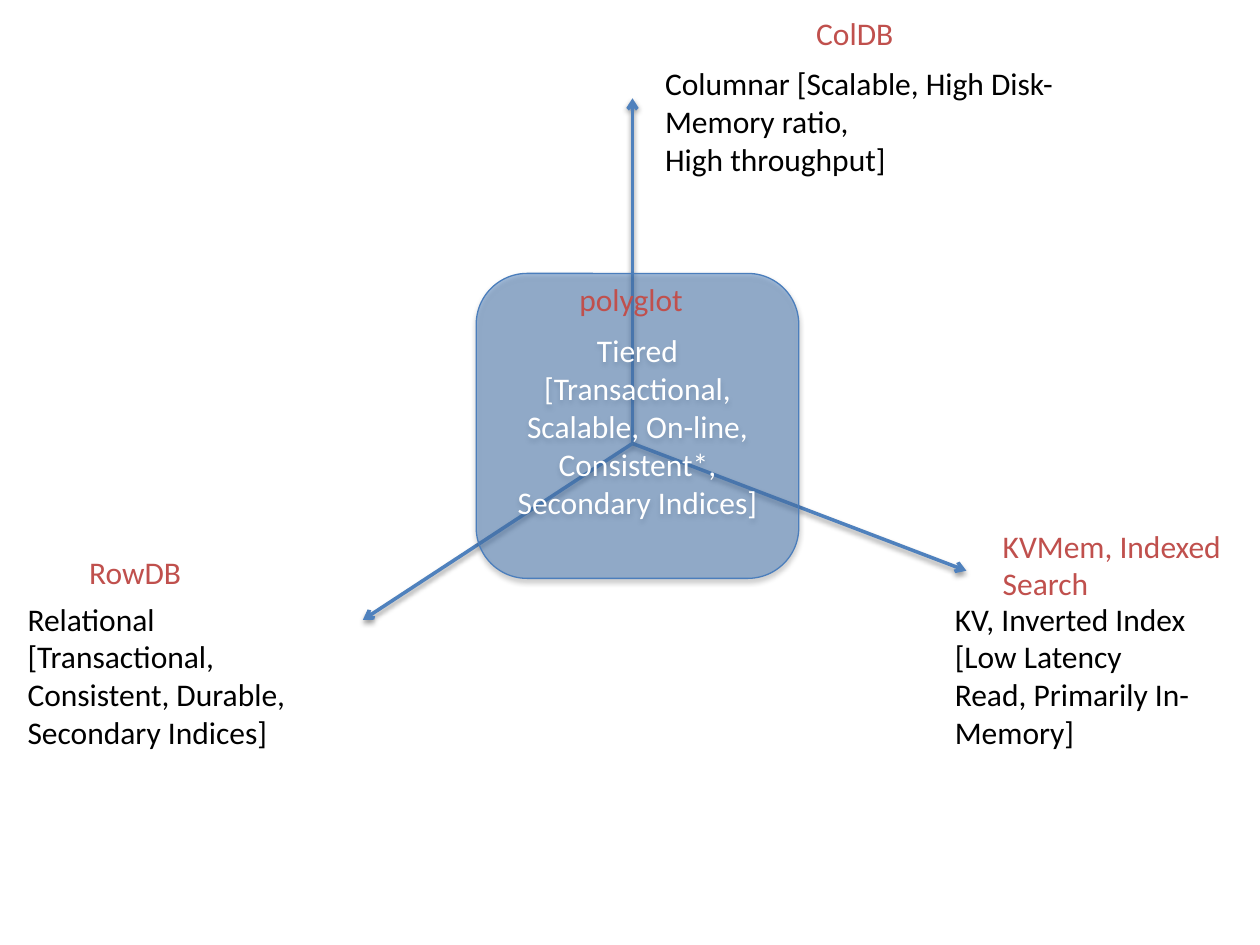
from dataclasses import dataclass

from lxml.etree import SubElement
from pptx import Presentation
from pptx.dml.color import RGBColor
from pptx.enum.shapes import MSO_CONNECTOR as Connector, MSO_SHAPE as Preset
from pptx.enum.text import MSO_ANCHOR as Anchor, MSO_AUTO_SIZE as AutoSize, PP_ALIGN as Align
from pptx.oxml.ns import qn
from pptx.util import Inches, Pt

BLUE, OUTLINE, RED = "4F81BD", "4B7EBC", "C0504D"
BLACK, WHITE = "000000", "FFFFFF"
HUB = (5.02, 3.52)


@dataclass(frozen=True)
class Label:
    box: tuple[float, float, float, float]
    paragraphs: tuple[str, ...]
    color: str = BLACK
    wrap: bool = True


AXIS_TIPS = [(5.02, 0.78), (7.67, 4.53), (2.88, 4.92)]

DESCRIPTIONS = [
    Label((5.18, 0.46, 4.11, 1.01),
          ("Columnar [Scalable, High Disk-Memory ratio,", "High throughput]")),
    Label((7.48, 4.71, 2.07, 1.31),
          ("KV, Inverted Index [Low Latency Read, Primarily In-Memory]",)),
    Label((0.12, 4.71, 2.49, 1.31),
          ("Relational [Transactional, Consistent, Durable, Secondary Indices]",)),
]

STORES = [
    Label((0.61, 4.34, 0.93, 0.4), ("RowDB",), RED, False),
    Label((7.86, 4.13, 1.97, 0.71), ("KVMem, Indexed Search",), RED),
    Label((6.38, 0.06, 0.84, 0.4), ("ColDB",), RED, False),
    Label((4.5, 2.17, 1.03, 0.4), ("polyglot",), RED, False),
]


def rgb(color: str) -> RGBColor:
    return RGBColor.from_string(color)


def add_shadow(shape, distance: float, opacity: int) -> None:
    effects = SubElement(shape._element.spPr, qn("a:effectLst"))
    shadow = SubElement(effects, qn("a:outerShdw"), blurRad=str(Pt(3.1)),
                        dist=str(Pt(distance)), dir="5400000", rotWithShape="0")
    tint = SubElement(shadow, qn("a:srgbClr"), val=BLACK)
    SubElement(tint, qn("a:alpha"), val=str(opacity * 1000))


def write_text(frame, paragraphs: tuple[str, ...], *, color: str,
               align: Align = Align.LEFT, size: int = 18) -> None:
    for index, text in enumerate(paragraphs):
        paragraph = frame.add_paragraph() if index else frame.paragraphs[0]
        paragraph.alignment = align
        run = paragraph.add_run()
        run.text = text
        run.font.name = "Calibri"
        run.font.size = Pt(size)
        run.font.color.rgb = rgb(color)


def add_axis(slide, tip: tuple[float, float]) -> None:
    axis = slide.shapes.add_connector(Connector.STRAIGHT, *map(Inches, HUB + tip))
    axis.line.color.rgb = rgb(BLUE)
    axis.line.width = Pt(2)
    SubElement(axis.line._get_or_add_ln(), qn("a:tailEnd"), type="arrow")
    add_shadow(axis, 1.6, 38)


def add_label(slide, label: Label) -> None:
    frame = slide.shapes.add_textbox(*map(Inches, label.box)).text_frame
    frame.word_wrap = label.wrap
    frame.auto_size = AutoSize.SHAPE_TO_FIT_TEXT
    write_text(frame, label.paragraphs, color=label.color)


def add_tier(slide) -> None:
    tier = slide.shapes.add_shape(Preset.ROUNDED_RECTANGLE,
                                  *map(Inches, (3.78, 2.17, 2.56, 2.42)))
    tier.fill.solid()
    tier.fill.fore_color.rgb = rgb(BLUE)
    fill_color = tier._element.spPr.find(qn("a:solidFill")).find(qn("a:srgbClr"))
    SubElement(fill_color, qn("a:alpha"), val="50000")
    tier.line.color.rgb = rgb(OUTLINE)
    tier.line.width = Pt(0.75)
    add_shadow(tier, 1.8, 35)
    tier.text_frame.word_wrap = True
    tier.text_frame.vertical_anchor = Anchor.MIDDLE
    write_text(tier.text_frame,
               ("Tiered [Transactional, Scalable, On-line, Consistent*, Secondary Indices]",),
               color=WHITE, align=Align.CENTER)


deck = Presentation()
deck.slide_width, deck.slide_height = Inches(10), Inches(7.5)
slide = deck.slides.add_slide(deck.slide_layouts[6])

for tip in AXIS_TIPS:
    add_axis(slide, tip)
for description in DESCRIPTIONS:
    add_label(slide, description)
add_tier(slide)
for store in STORES:
    add_label(slide, store)

deck.save("out.pptx")
